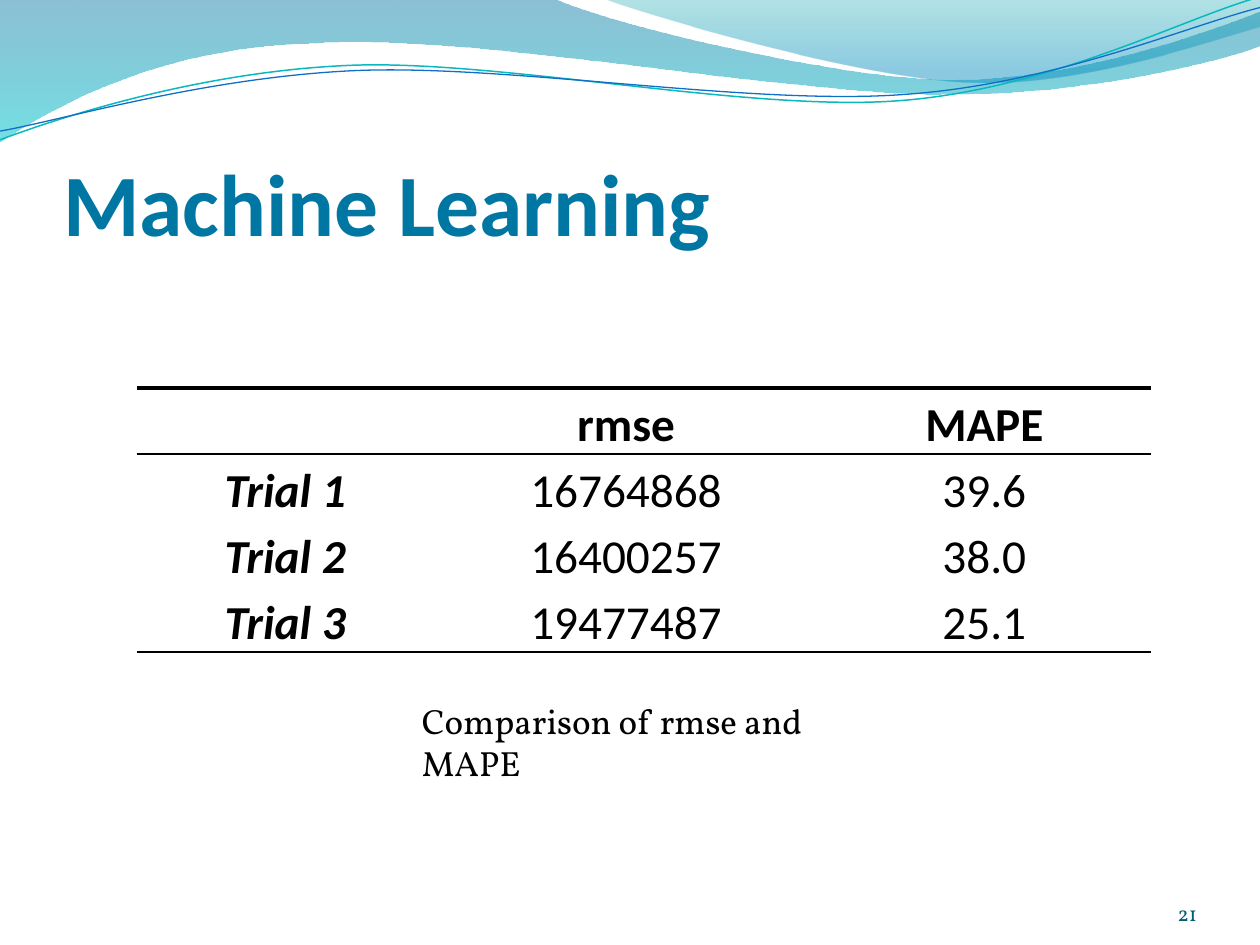
from lxml.etree import SubElement
from pptx import Presentation
from pptx.dml.color import RGBColor
from pptx.enum.text import MSO_ANCHOR, MSO_AUTO_SIZE, PP_ALIGN
from pptx.oxml.ns import qn
from pptx.util import Pt

HUES = {
    "title": "0076A3", "text": "000000", "number": "045D75",
    "blue": "0074A1", "aqua": "00C6CF", "teal": "00A1A9", "sky": "008BBF",
    "upper": "0AB8BF", "lower": "0F6FC6",
}


def style(par, face, size, hue, bold=False, slant=False):
    for run in par.runs:
        font = run.font
        font.name, font.size = face, Pt(size)
        font.bold, font.italic = bold, slant
        font.color.rgb = RGBColor.from_string(HUES[hue])


def draw(start, parts, close):
    pen = slide.shapes.build_freeform(Pt(start[0]), Pt(start[1]))
    for part in parts:
        spots = [(Pt(x), Pt(y)) for x, y in zip(part[::2], part[1::2])]
        pen.add_line_segments(spots, close=close and part is parts[-1])
    shape = pen.convert_to_shape()
    shape.shadow.inherit = False
    lines = iter(list(shape._element.iter(qn("a:lnTo"))))
    for part in parts:
        group = [next(lines) for _ in part[::2]]
        if len(group) == 3:
            bend = group[0].makeelement(qn("a:cubicBezTo"))
            group[0].addprevious(bend)
            for line in group:
                bend.append(line[0])
                line.getparent().remove(line)
    return shape


deck = Presentation()
deck.slide_width, deck.slide_height = Pt(720), Pt(540)
slide = deck.slides.add_slide(deck.slide_layouts[5])

waves = [
    ((0, 0), [(316.8, -0.7), (342.7, 12.2, 478.1, 45.4, 545.8, 45.4),
              (614.2, 45.4, 689.8, 18.7, 720, 6.5), (720.7, 25.9),
              (707.8, 31.7, 626.4, 54.7, 537.1, 54),
              (447.8, 54, 275, 20.2, 185, 24.5),
              (92.2, 25.9, 33.1, 59.8, -0.7, 81.4)],
     [(0, "blue", 45), (1, "aqua", 55)]),
    ((344.9, -0.7), [(366.5, 7.9, 491, 44.6, 553.7, 46.8),
                     (616.3, 49.7, 691.9, 23, 720, 15.1), (720, 0)],
     [(0, "teal", 30), (0.8, "sky", 45)]),
]
for start, parts, stops in waves:
    wave = draw(start, parts, True)
    wave.line.fill.background()
    wave.fill.gradient()
    wave.fill.gradient_angle = 270
    for stop, (place, hue, alpha) in zip(wave.fill.gradient_stops, stops):
        stop.position = place
        stop.color.rgb = RGBColor.from_string(HUES[hue])
    tints = wave.fill._xPr.iter(qn("a:srgbClr"))
    for tint, (place, hue, alpha) in zip(tints, stops):
        SubElement(tint, qn("a:alpha"), val=str(alpha * 1000))

curves = [
    ((0, 79.9), [(34.6, 67, 113.8, 41, 199.4, 37.4),
                 (284.4, 33.8, 427, 64.1, 513.4, 57.6),
                 (599.8, 51.1, 675.4, 10.8, 718.6, -1.4)], "upper", 0.85),
    ((0, 74.9), [(33.8, 69.1, 118.1, 43.9, 203.8, 40.3),
                 (290.2, 36.7, 429.8, 60.5, 516.2, 54),
                 (601.9, 48.2, 677.5, 15.1, 720, 4.3)], "lower", 0.75),
]
for start, parts, hue, width in curves:
    curve = draw(start, parts, False)
    curve.fill.background()
    curve.line.color.rgb = RGBColor.from_string(HUES[hue])
    curve.line.width = Pt(width)

title = slide.shapes.title
title.left, title.top, title.width, title.height = Pt(36), Pt(55.25), Pt(648), Pt(90)
frame = title.text_frame
frame.text = "Machine Learning"
frame.auto_size = MSO_AUTO_SIZE.NONE
frame.vertical_anchor = MSO_ANCHOR.BOTTOM
frame.margin_left = frame.margin_right = frame.margin_bottom = 0
frame.margin_top = Pt(3.6)
frame.paragraphs[0].alignment = PP_ALIGN.LEFT
style(frame.paragraphs[0], "Calibri", 50, "title", True)

frame = slide.shapes.add_textbox(Pt(624), Pt(500.5), Pt(60), Pt(28.75)).text_frame
frame.text = "21"
frame.word_wrap = True
frame.vertical_anchor = MSO_ANCHOR.BOTTOM
frame.margin_left = frame.margin_right = frame.margin_top = frame.margin_bottom = 0
frame.paragraphs[0].alignment = PP_ALIGN.RIGHT
style(frame.paragraphs[0], "Vollkorn", 12, "number")

rows = [
    ("", "rmse", "MAPE"),
    ("Trial 1", "16764868", "39.6"),
    ("Trial 2", "16400257", "38.0"),
    ("Trial 3", "19477487", "25.1"),
]
rules = {0: {"T": 2.25, "B": 1.5}, 1: {"T": 1.5}, 3: {"B": 1.5}}
table = slide.shapes.add_table(4, 3, Pt(78), Pt(221.75), Pt(579.5), Pt(151)).table
table.first_row = table.horz_banding = False
table._tbl.tblPr.find(qn("a:tableStyleId")).text = "{2D5ABB26-0587-4C30-8999-92F81FD0307C}"
for col, width in zip(table.columns, (170, 219.5, 190)):
    col.width = Pt(width)
for r, row in enumerate(rows):
    table.rows[r].height = Pt(37.75)
    for c, text in enumerate(row):
        cell = table.cell(r, c)
        cell.margin_left = cell.margin_right = Pt(12.25)
        cell.margin_top = cell.margin_bottom = 0
        par = cell.text_frame.paragraphs[0]
        par.text = text
        par.alignment = PP_ALIGN.CENTER
        par.line_spacing = 1.15
        par.space_before = Pt(6.5)
        style(par, "Calibri", 27, "text", r == 0 or c == 0, r > 0 and c == 0)
        props = cell._tc.get_or_add_tcPr()
        for side in "LRTB":
            width = rules.get(r, {}).get(side)
            if width:
                edge = SubElement(props, qn("a:ln" + side), w=str(Pt(width)))
                paint = SubElement(edge, qn("a:solidFill"))
                SubElement(paint, qn("a:srgbClr"), val=HUES["text"])
            else:
                edge = SubElement(props, qn("a:ln" + side))
                SubElement(edge, qn("a:noFill"))
        cell.fill.background()

frame = slide.shapes.add_textbox(Pt(234), Pt(396), Pt(288), Pt(31.5)).text_frame
frame.text = "Comparison of rmse and MAPE"
frame.word_wrap = True
frame.auto_size = MSO_AUTO_SIZE.SHAPE_TO_FIT_TEXT
style(frame.paragraphs[0], "Vollkorn", 20, "text")

deck.save("out.pptx")
